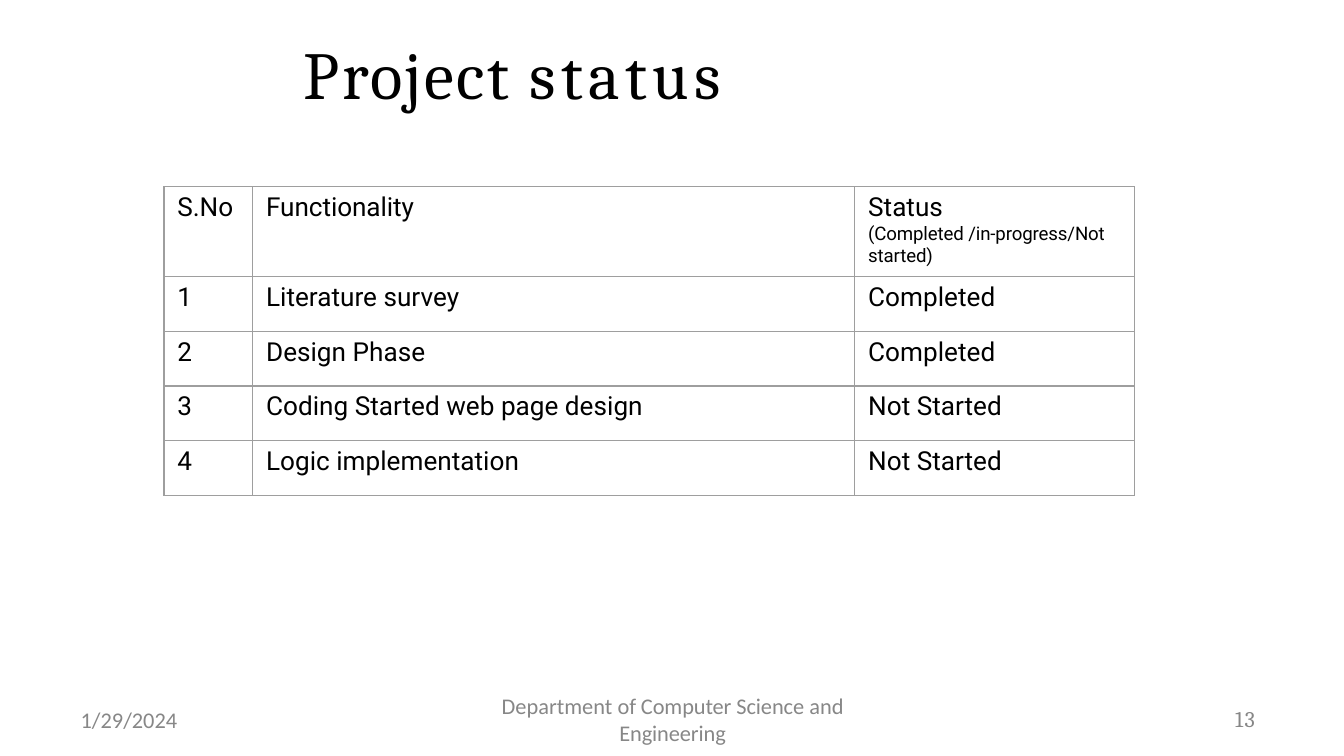
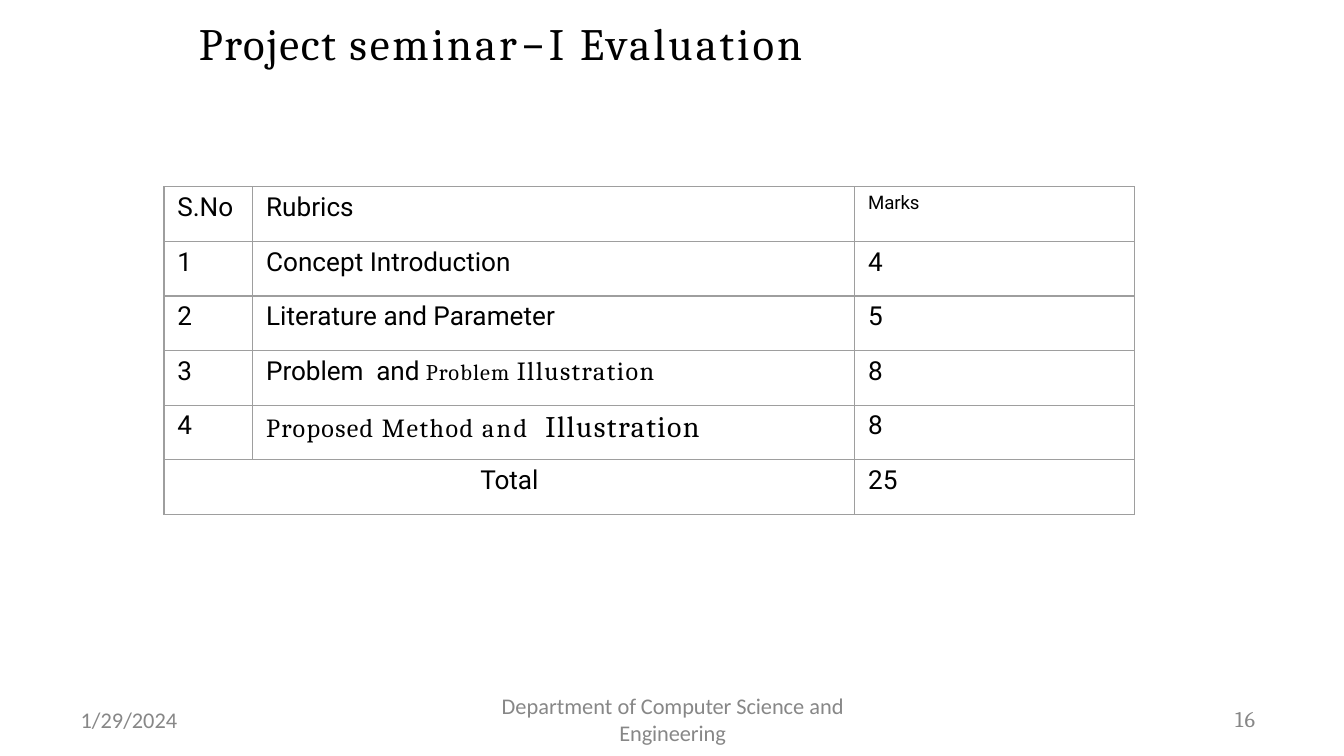
from dataclasses import dataclass
from typing import Optional, Union

from lxml.etree import SubElement
from pptx import Presentation
from pptx.dml.color import RGBColor
from pptx.enum.text import MSO_ANCHOR as Anchor, MSO_AUTO_SIZE as Fit, PP_ALIGN as Align
from pptx.oxml.ns import qn
from pptx.util import Inches, Pt

BLACK = RGBColor(0x00, 0x00, 0x00)
GREY = RGBColor(0x87, 0x87, 0x87)
RULE = RGBColor(0x9E, 0x9E, 0x9E)
WHITE = RGBColor(0xFF, 0xFF, 0xFF)

SERIF, SANS, BODY, DASH = "Cambria", "Calibri", "Roboto", "Lato"
TIGHT = -0.05


@dataclass(frozen=True)
class Run:
    """Text that differs from the format of its block; None keeps the block's value."""
    text: str
    size: Optional[float] = None
    font: Optional[str] = None
    gap: Optional[float] = None


Line = Union[str, list[Run]]


@dataclass(frozen=True)
class Box:
    left: float
    top: float
    width: float
    height: float


DATE = Box(0.59, 5.28, 0.75, 0.19)
DEPT = Box(3.71, 5.18, 2.59, 0.4)
NUMBER = Box(9.15, 5.25, 0.29, 0.22)
GRID = Box(1.22, 1.39, 7.24, 2.44)
COLS = (0.66, 4.48, 2.08)
ROW = GRID.height / 6


@dataclass(frozen=True)
class Page:
    number: str
    title: list[Run]
    size: float
    place: Box
    rows: list[list[Optional[list[Line]]]]
    head: float = ROW


def write(frame, lines: list[Line], *, size: float, font: str, color: RGBColor = BLACK,
          gap: float = 0, align: Align = Align.LEFT, indent: float = 0,
          before: float = 0, lead: Optional[float] = None) -> None:
    """Fill a text frame; before and lead (points) apply to its first line."""
    for i, line in enumerate(lines):
        par = frame.paragraphs[0] if i == 0 else frame.add_paragraph()
        par.alignment = align
        par.space_before = Pt(0 if i else before)
        if lead and i == 0:
            par.line_spacing = Pt(lead)
        props = par._p.get_or_add_pPr()
        props.set("marL", str(Inches(indent)))
        props.set("indent", "0")
        for part in [Run(line)] if isinstance(line, str) else line:
            run = par.add_run()
            run.text = part.text
            run.font.size = Pt(part.size or size)
            run.font.name = part.font or font
            run.font.color.rgb = color
            run.font.bold = False
            space = gap if part.gap is None else part.gap
            run._r.get_or_add_rPr().set("spc", str(round(space * 100)))


def place(shape, box: Box) -> None:
    shape.left, shape.top = Inches(box.left), Inches(box.top)
    shape.width, shape.height = Inches(box.width), Inches(box.height)


def setup(frame, top: float = 0) -> None:
    """Set the insets, wrap and fit of a text frame."""
    frame.margin_left = frame.margin_right = frame.margin_bottom = 0
    frame.margin_top = Inches(top)
    frame.vertical_anchor = Anchor.TOP
    frame.word_wrap = True
    frame.auto_size = Fit.SHAPE_TO_FIT_TEXT


def label(slide, box: Box, lines: list[Line], **style) -> None:
    shape = slide.shapes.add_textbox(0, 0, 0, 0)
    setup(shape.text_frame)
    write(shape.text_frame, lines, size=12, color=GREY, **style)
    place(shape, box)


def footer(slide, number: str) -> None:
    dept = [Run("Department "), Run("of Computer Science", gap=TIGHT), Run(" and")]
    label(slide, DEPT, [dept, [Run("Engineering", gap=TIGHT)]],
          font=SANS, align=Align.CENTER, lead=12.4)
    label(slide, NUMBER, [number], font=SERIF, gap=0.8, indent=0.04, before=0.3)
    label(slide, DATE, ["1/29/2024"], font=SANS, indent=0.01, lead=12.4)


def border(cell) -> None:
    props = cell._tc.get_or_add_tcPr()
    for side in ("lnL", "lnR", "lnT", "lnB"):
        edge = SubElement(props, qn(f"a:{side}"), w=str(Pt(0.75)))
        fill = SubElement(edge, qn("a:solidFill"))
        SubElement(fill, qn("a:srgbClr"), val=str(RULE))


def grid(slide, page: Page) -> None:
    """Draw the table; a None entry is joined to the cell on its left."""
    area = (Inches(v) for v in (GRID.left, GRID.top, GRID.width, GRID.height))
    table = slide.shapes.add_table(len(page.rows), len(COLS), *area).table
    table.first_row = table.horz_banding = False
    for col, width in zip(table.columns, COLS):
        col.width = Inches(width)
    for r, row in enumerate(page.rows):
        table.rows[r].height = Inches(ROW if r else page.head)
        for c, lines in enumerate(row):
            cell = table.cell(r, c)
            border(cell)
            cell.fill.background()
            cell.margin_left = cell.margin_right = cell.margin_bottom = 0
            cell.margin_top = Inches(0.04)
            if lines is None:
                table.cell(r, c - 1).merge(cell)
                continue
            wide = c + 1 < len(row) and row[c + 1] is None
            write(cell.text_frame, lines, size=14, font=BODY, before=3.2,
                  align=Align.CENTER if wide else Align.LEFT,
                  indent=0 if wide else 0.1)


def draw(deck, page: Page) -> None:
    slide = deck.slides.add_slide(deck.slide_layouts[5])
    slide.background.fill.solid()
    slide.background.fill.fore_color.rgb = WHITE
    title = slide.shapes.title
    setup(title.text_frame, top=0.01)
    write(title.text_frame, [page.title], size=page.size, font=SERIF,
          indent=0.01, before=1)
    place(title, page.place)
    footer(slide, page.number)
    grid(slide, page)


def items(*pairs: tuple[Line, str]) -> list[list[list[Line]]]:
    """Number the rows from 1."""
    return [[[str(i)], [name], [value]] for i, (name, value) in enumerate(pairs, 1)]


SERIAL = [[Run("S.No", gap=TIGHT)]]

STATUS = Page(
    number="13",
    title=[Run("Project ", gap=1.4), Run("status", gap=2.9)],
    size=36,
    place=Box(2.25, 0.23, 3.39, 0.63),
    head=0.67,
    rows=[
        [SERIAL, [[Run("Functionality", gap=TIGHT)]],
         ["Status", [Run("(Completed /in-progress/Not", 10, gap=TIGHT)],
          [Run("started)", 10, gap=TIGHT)]]],
        *items(
            ("Literature survey", "Completed"),
            ("Design Phase", "Completed"),
            ("Coding Started web page design", "Not Started"),
            ("Logic implementation", "Not Started"),
        ),
    ],
)

MARKS = Page(
    number="16",
    title=[Run("Project ", gap=0.9), Run("seminar", gap=1.6),
           Run("–", font=DASH, gap=1.6), Run("I Evaluation", gap=1.6)],
    size=24,
    place=Box(1.47, 0.11, 4.71, 0.43),
    rows=[
        [SERIAL, ["Rubrics"], [[Run("Marks", 10, gap=TIGHT)]]],
        *items(
            ("Concept Introduction", "4"),
            ("Literature and Parameter", "5"),
            ([Run("Problem  and ", gap=TIGHT), Run("Problem ", 12, SERIF, 0.6),
              Run("Illustration", 14, SERIF, 0.8)], "8"),
            ([Run("Proposed ", 14, SERIF, 0.7), Run("Method ", 14, SERIF, 0.8),
              Run("and  ", 14, SERIF, 1.2), Run("Illustration", 16, SERIF, 0.8)], "8"),
        ),
        [[[Run("Total", gap=TIGHT)]], None, ["25"]],
    ],
)


def main() -> None:
    deck = Presentation()
    deck.slide_width = Inches(10)
    deck.slide_height = deck.slide_width * 9 // 16
    for page in (STATUS, MARKS):
        draw(deck, page)
    deck.save("out.pptx")


if __name__ == "__main__":
    main()
